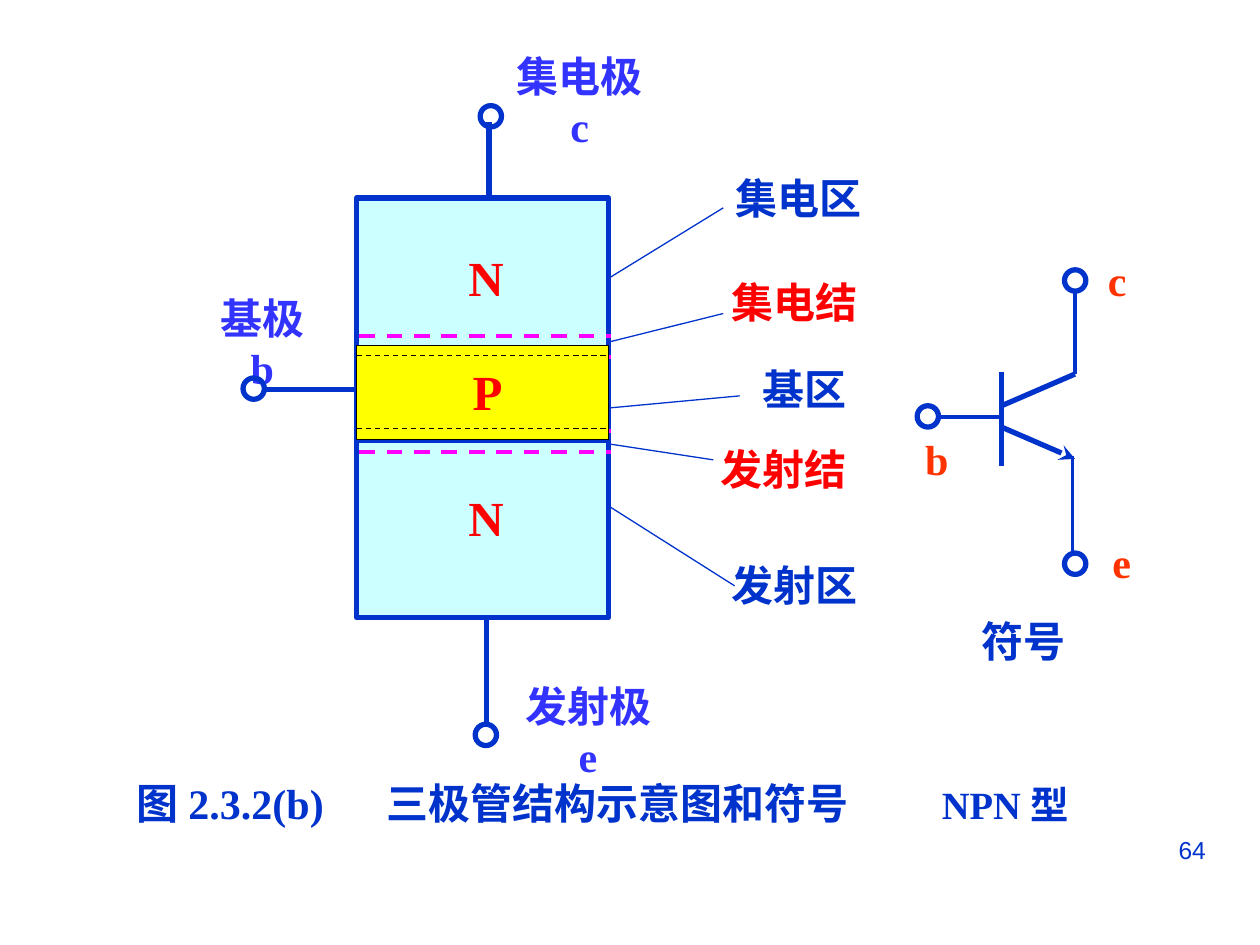
"""Build a slide on the structure and symbol of an NPN transistor."""
from lxml import etree
from pptx import Presentation
from pptx.dml.color import RGBColor
from pptx.enum.dml import MSO_LINE
from pptx.enum.shapes import MSO_CONNECTOR, MSO_SHAPE
from pptx.enum.text import MSO_ANCHOR, PP_ALIGN
from pptx.oxml.ns import qn
from pptx.util import Cm, Pt

STRAIGHT = MSO_CONNECTOR.STRAIGHT
RECTANGLE, OVAL = MSO_SHAPE.RECTANGLE, MSO_SHAPE.OVAL
DASH = MSO_LINE.DASH
TOP, MIDDLE = MSO_ANCHOR.TOP, MSO_ANCHOR.MIDDLE
LEFT, CENTER, RIGHT = PP_ALIGN.LEFT, PP_ALIGN.CENTER, PP_ALIGN.RIGHT

BLUE = RGBColor(0x00, 0x33, 0xCC)
VIOLET = RGBColor(0x33, 0x33, 0xFF)
RED = RGBColor(0xFF, 0x00, 0x00)
ORANGE = RGBColor(0xFF, 0x33, 0x00)
MAGENTA = RGBColor(0xFF, 0x00, 0xFF)
CYAN = RGBColor(0xCC, 0xFF, 0xFF)
YELLOW = RGBColor(0xFF, 0xFF, 0x00)
BLACK = RGBColor(0x00, 0x00, 0x00)

LABEL = {"name": "Times New Roman", "size": Pt(24), "bold": True}
REGION = {**LABEL, "size": Pt(28)}
TYPE_NAME = {**LABEL, "size": Pt(22)}
NUMBER = {"name": "Arial", "size": Pt(14), "bold": False}

TERMINAL = 0.43
BODY_LEFT, BODY_WIDTH = 7.19, 5.08
EDGE_LEFT, EDGE_RIGHT = 7.24, 12.32
JUNCTIONS = (6.99, 8.9)


def add_span(para, text, color, style):
    """Append a formatted run to a paragraph."""
    span = para.add_run()
    span.text = text
    for name, value in style.items():
        setattr(span.font, name, value)
    span.font.color.rgb = color


def add_box(page, place, anchor=MIDDLE, align=CENTER, wrap=False):
    """Add a text box and return its first paragraph."""
    box = page.shapes.add_textbox(*map(Cm, place))
    frame = box.text_frame
    for name, value in {"word_wrap": wrap, "vertical_anchor": anchor}.items():
        setattr(frame, name, value)
    para = frame.paragraphs[0]
    para.alignment = align
    return para


def add_label(page, text, place, color, style=LABEL, **layout):
    """Add a text box with a single run."""
    add_span(add_box(page, place, **layout), text, color, style)


def add_line(page, start, end, color=BLUE, width=3, dash=None, arrow=False):
    """Add a straight line, dashed or with an arrowhead if asked."""
    line = page.shapes.add_connector(STRAIGHT, *map(Cm, (*start, *end)))
    line.line.color.rgb = color
    line.line.width = Pt(width)
    if dash:
        line.line.dash_style = dash
    if arrow:
        etree.SubElement(line.line._get_or_add_ln(), qn("a:tailEnd"), type="stealth")
    etree.SubElement(line._element.spPr, qn("a:effectLst"))


def add_figure(page, kind, place, fill=None, color=BLUE, width=3):
    """Add an outlined preset shape, filled or hollow."""
    figure = page.shapes.add_shape(kind, *map(Cm, place))
    figure.shadow.inherit = False
    if fill is None:
        figure.fill.background()
    else:
        figure.fill.solid()
        figure.fill.fore_color.rgb = fill
    figure.line.color.rgb = color
    figure.line.width = Pt(width)


def add_terminal(page, left, top):
    """Add the open circle that ends a lead."""
    add_figure(page, OVAL, (left, top, TERMINAL, TERMINAL))


def add_caption(page):
    """Add the figure caption with its parts at tab stops."""
    para = add_box(page, (2.51, 15.54, 20.96, 1.27), TOP, LEFT, True)
    stops = etree.SubElement(para._p.get_or_add_pPr(), qn("a:tabLst"))
    for position in (5.03, 16.23):
        etree.SubElement(stops, qn("a:tab"), pos=str(Cm(position)), algn="l")
    add_span(para, "图 2.3.2(b)\t三极管结构示意图和符号\t", BLUE, LABEL)
    add_span(para, "NPN 型", BLUE, TYPE_NAME)


def add_symbol(page):
    """Draw the circuit symbol and its letters."""
    for text, place, color in (
        ("e", (22.17, 10.69, 0.89, 1.27), ORANGE),
        ("c", (21.77, 5, 1.5, 1.27), ORANGE),
        ("b", (18.39, 8.61, 0.99, 1.27), ORANGE),
        ("符号", (19.53, 12.29, 2.21, 1.27), BLUE),
    ):
        add_label(page, text, place, color)
    bar = 20.19
    add_line(page, (bar, 7.49), (bar, 9.4))
    add_line(page, (bar, 8.18), (21.67, 7.54))
    add_line(page, (bar, 8.61), (21.67, 9.25), arrow=True)
    for start, end in (
        ((bar, 8.41), (18.92, 8.41)),
        ((21.67, 7.54), (21.67, 5.87)),
        ((21.62, 9.19), (21.62, 11.1)),
    ):
        add_line(page, start, end, width=2)
    for left, top in ((18.49, 8.18), (21.46, 5.44), (21.46, 11.15)):
        add_terminal(page, left, top)


def add_callouts(page):
    """Name the regions and junctions and point to them."""
    add_label(page, "集电区", (14.58, 3.35, 3.18, 1.27), BLUE, align=LEFT, wrap=True)
    for text, left, top, width, color in (
        ("集电结", 14.48, 5.44, 3.07, RED),
        ("基区", 15.11, 7.21, 2.21, BLUE),
        ("发射结", 14.27, 8.81, 3.07, RED),
        ("发射区", 14.48, 11.15, 3.07, BLUE),
    ):
        add_label(page, text, (left, top, width, 1.27), color)
    for start, end in (
        ((12.09, 5.72), (14.58, 4.19)),
        ((11.89, 6.99), (14.58, 6.32)),
        ((11.89, 8.26), (14.91, 7.98)),
        ((11.89, 8.89), (14.38, 9.27)),
        ((11.89, 9.96), (14.81, 11.81)),
    ):
        add_line(page, start, end, width=0.75)
    for text, left, top, width in (
        ("集电极 c", 9.91, 1.4, 3.55),
        ("基极 b", 3.89, 6.27, 2.8),
        ("发射极 e", 10.08, 14.1, 3.55),
    ):
        add_label(page, text, (left, top, width, 1.27), VIOLET, wrap=True)


def add_structure(page):
    """Draw the layered body with its leads."""
    add_figure(page, RECTANGLE, (BODY_LEFT, 3.99, BODY_WIDTH, 8.46), CYAN)
    for level in JUNCTIONS:
        add_line(page, (EDGE_LEFT, level), (EDGE_RIGHT, level), width=2.25)
        for edge in (level - 0.21, level + 0.21):
            add_line(page, (EDGE_LEFT, edge), (EDGE_RIGHT, edge), MAGENTA, 2.25, DASH)
    for start, end in (
        ((9.86, 3.94), (9.86, 2.46)),
        ((9.8, 12.5), (9.8, 14.6)),
        ((EDGE_LEFT, 7.85), (5.33, 7.85)),
    ):
        add_line(page, start, end)
    for left, top in ((4.9, 7.62), (9.68, 2.13), (9.58, 14.6)):
        add_terminal(page, left, top)
    add_figure(page, RECTANGLE, (BODY_LEFT, 6.96, BODY_WIDTH, 1.9), YELLOW, BLACK, 0.75)
    for level in (7.16, 8.64):
        add_line(page, (BODY_LEFT, level), (BODY_LEFT + BODY_WIDTH, level), BLACK, 0.75, DASH)
    for text, left, top, width in (
        ("N", 9.19, 4.85, 1.22),
        ("P", 9.27, 7.16, 1.12),
        ("N", 9.19, 9.7, 1.22),
    ):
        add_label(page, text, (left, top, width, 1.45), RED, REGION)


def main():
    """Build the deck and save it."""
    deck = Presentation()
    deck.slide_width, deck.slide_height = Cm(25.4), Cm(19.05)
    page = deck.slides.add_slide(deck.slide_layouts[6])
    add_label(page, "64", (18.21, 16.71, 6.35, 1.32), BLUE, NUMBER,
              anchor=TOP, align=RIGHT, wrap=True)
    add_caption(page)
    add_symbol(page)
    add_callouts(page)
    add_structure(page)
    deck.save("out.pptx")


if __name__ == "__main__":
    main()
